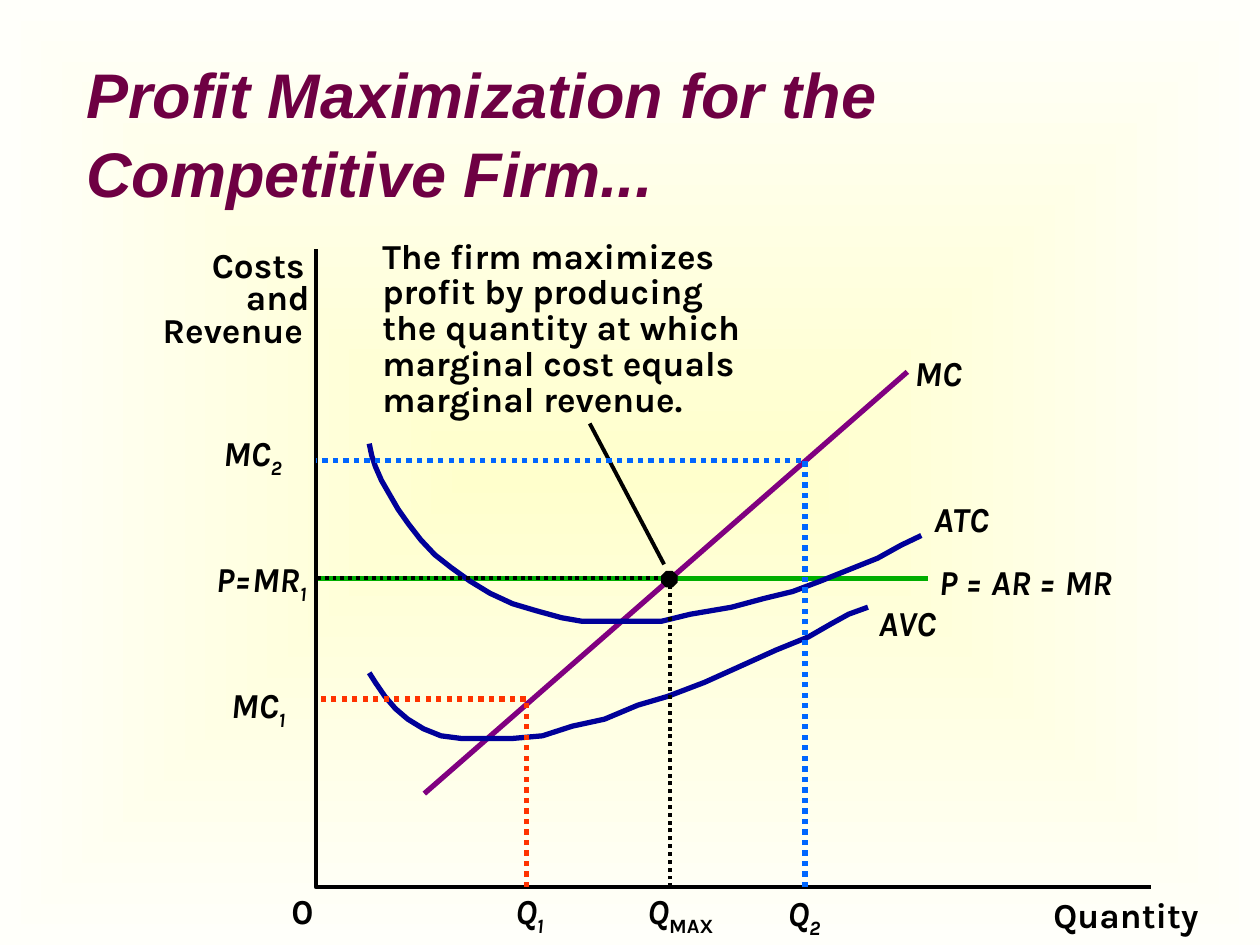
from lxml import etree
from pptx import Presentation
from pptx import util as u
from pptx.dml.color import RGBColor
from pptx.enum import dml, shapes, text
from pptx.oxml.ns import qn

Pt = u.Pt
BLACK = RGBColor(0, 0, 0)
GREEN = RGBColor(0, 0xAE, 0)
PURPLE = RGBColor(0x80, 0, 0x80)
NAVY = RGBColor(0, 0, 0x99)
RED = RGBColor(0xFF, 0x33, 0)
BLUE = RGBColor(0, 0x66, 0xFF)
WINE = RGBColor(0x6E, 0, 0x43)
CREAM = RGBColor(0xFF, 0xFF, 0xCC)
IVORY = RGBColor(0xFF, 0xFF, 0xFA)

# Axes of the graph and the levels that the guide lines meet
LEFT, TOP, RIGHT, BASE = 180.5, 142.5, 657.5, 507
PRICE, QMAX = 330.5, 383
THIN, THICK = 2.25, 3

ATC = [(211, 253.5), (212.5, 260.5), (214.5, 266.5), (218, 274.5), (222, 281.5),
       (227.5, 291), (233.5, 299.5), (240.5, 308.5), (248.5, 317), (258, 324.5),
       (268.5, 332), (280, 339), (293, 345), (306.5, 349), (321, 353),
       (332.5, 355), (378, 355), (394.5, 351), (418, 347), (436.5, 342),
       (453, 338), (469, 332), (484, 326), (501.5, 319), (515, 311.5), (526.5, 306)]
AVC = [(211, 384.5), (214.5, 390), (220, 398), (226, 405), (233, 411),
       (242, 416.5), (252, 420.5), (263.5, 422), (293, 422), (310, 420.5),
       (327, 415), (345.5, 411), (364.5, 403), (381.5, 398), (402.5, 390),
       (422.5, 381), (443.5, 371.5), (462, 364), (475, 356.5), (485, 351), (496, 347)]


def apply(obj, vals):
    """Set each named attribute of an object."""
    for name, val in vals.items():
        setattr(obj, name, val)


class Board:
    """Holds the text style and the current slide."""

    font = {"name": "Karla", "size": Pt(20), "bold": True}

    def __init__(self, slide):
        """Keep the slide to draw on."""
        self.slide = slide
        self.shapes = slide.shapes

    def back(self, inner, outer):
        """Fill the background with a gradient from the centre out."""
        fill = self.slide.background.fill
        fill.gradient()
        for stop, color in zip(fill.gradient_stops, (inner, outer)):
            stop.color.rgb = color
        grad = self.slide.background._cSld.find(".//" + qn("a:gradFill"))
        grad.remove(grad.find(qn("a:lin")))
        path = etree.SubElement(grad, qn("a:path"), path="rect")
        etree.SubElement(path, qn("a:fillToRect"),
                         dict.fromkeys("ltrb", "50000"))

    def title(self, words, box):
        """Place and format the title."""
        hold = self.shapes.title
        apply(hold, dict(zip(("left", "top", "width", "height"), map(Pt, box))))
        frame = hold.text_frame
        frame.text = words
        apply(frame, {"vertical_anchor": text.MSO_ANCHOR.MIDDLE, "word_wrap": True,
                      "auto_size": text.MSO_AUTO_SIZE.NONE})
        para = frame.paragraphs[0]
        apply(para, {"alignment": text.PP_ALIGN.LEFT, "line_spacing": 1.05})
        font = para.runs[0].font
        apply(font, {"name": "Arial", "size": Pt(36), "bold": True, "italic": True})
        font.color.rgb = WINE

    def label(self, words, box, sub="", wrap=False, slant=True, sub_slant=True,
              **form):
        """Add a text box, with an optional subscript."""
        frame = self.shapes.add_textbox(*map(Pt, box)).text_frame
        apply(frame, dict.fromkeys(
            ("margin_left", "margin_top", "margin_right", "margin_bottom"), 0))
        apply(frame, {"word_wrap": wrap,
                      "auto_size": text.MSO_AUTO_SIZE.SHAPE_TO_FIT_TEXT})
        para = frame.paragraphs[0]
        apply(para, form)
        for part, lean, low in ((words, slant, False), (sub, sub_slant, True)):
            if part:
                run = para.add_run()
                run.text = part
                apply(run.font, {**self.font, "italic": lean})
                run.font.color.rgb = BLACK
                if low:
                    run._r.get_or_add_rPr().set("baseline", "-25000")

    def line(self, start, end, color, width):
        """Add a straight line."""
        item = self.shapes.add_connector(shapes.MSO_CONNECTOR.STRAIGHT,
                                         *map(Pt, start + end))
        item.line.color.rgb = color
        item.line.width = Pt(width)
        etree.SubElement(item._element.spPr, qn("a:effectLst"))

    def trace(self, points, color, width, dash=None):
        """Add an open outline through the points."""
        first, *rest = [(Pt(x), Pt(y)) for x, y in points]
        pen = self.shapes.build_freeform(*first)
        pen.add_line_segments(rest, close=False)
        item = pen.convert_to_shape()
        item.shadow.inherit = False
        item.fill.background()
        item.line.color.rgb = color
        apply(item.line, {"width": Pt(width), "dash_style": dash})

    def guide(self, x, y, color, width):
        """Add a dotted line from the base up to a level and across."""
        self.trace([(x, BASE), (x, y), (LEFT, y)], color, width,
                   dml.MSO_LINE.ROUND_DOT)

    def dot(self, x, y, size):
        """Add a black point centred on a place."""
        item = self.shapes.add_shape(shapes.MSO_SHAPE.OCTAGON, Pt(x - size / 2),
                                     Pt(y - size / 2), Pt(size), Pt(size))
        item.shadow.inherit = False
        item.fill.solid()
        item.fill.fore_color.rgb = BLACK
        item.line.fill.background()


def main():
    """Build the slide and save it."""
    deck = Presentation()
    apply(deck, {"slide_width": Pt(720), "slide_height": Pt(540)})
    board = Board(deck.slides.add_slide(deck.slide_layouts[5]))
    board.back(CREAM, IVORY)
    board.title("Profit Maximization for the Competitive Firm...",
                (42, 30, 612, 90))

    board.line((LEFT, PRICE), (530.5, PRICE), GREEN, THICK)
    board.line((242.5, 453.5), (518.5, 212.5), PURPLE, THICK)
    board.trace(ATC, NAVY, THICK)
    board.trace(AVC, NAVY, THICK)
    board.trace([(LEFT, TOP), (LEFT, BASE), (RIGHT, BASE)], BLACK, THIN)
    board.guide(QMAX, PRICE, BLACK, THIN)
    board.dot(382.5, 331, 9.4)
    board.line((379.5, 322.5), (337, 242), BLACK, THIN)
    board.guide(301, 399.5, RED, THICK)
    board.guide(460, 263, BLUE, THICK)

    for words, box in (("Quantity", (602, 510.5, 89, 24)),
                       ("0", (166.5, 508.5, 11.5, 24)),
                       ("Costs", (121, 139, 54, 24)),
                       ("and", (140.5, 157.7, 38, 24)),
                       ("Revenue", (93, 176.4, 86.5, 24))):
        board.label(words, box, slant=False)
    for words, sub, box, wrap in (
            (" P = AR = MR", "", (532, 320.5, 146, 24), True),
            ("MC", "", (522.5, 201, 42, 24), True),
            ("ATC", "", (533.5, 284.5, 35.5, 24), False),
            ("AVC", "", (502, 343.5, 36.5, 24), False),
            ("MC", "1", (132, 390.5, 53, 27.5), True),
            ("MC", "2", (127.5, 246.5, 36.5, 27.5), False),
            ("Q", "1", (294.5, 508.5, 21, 27.5), False),
            ("Q", "2", (450, 509.5, 37.5, 27.5), True)):
        board.label(words, box, sub, wrap)
    board.label("P=MR", (96, 318.5, 79, 27.5), "1", True,
                alignment=text.PP_ALIGN.RIGHT)
    board.label("Q", (370, 508.5, 42, 27.5), "MAX", sub_slant=False)
    board.label("The firm maximizes profit by producing the quantity at which "
                "marginal cost equals marginal revenue.",
                (218.5, 137.5, 207.5, 122.5), wrap=True, slant=False,
                line_spacing=0.85)
    deck.save("out.pptx")


main()
